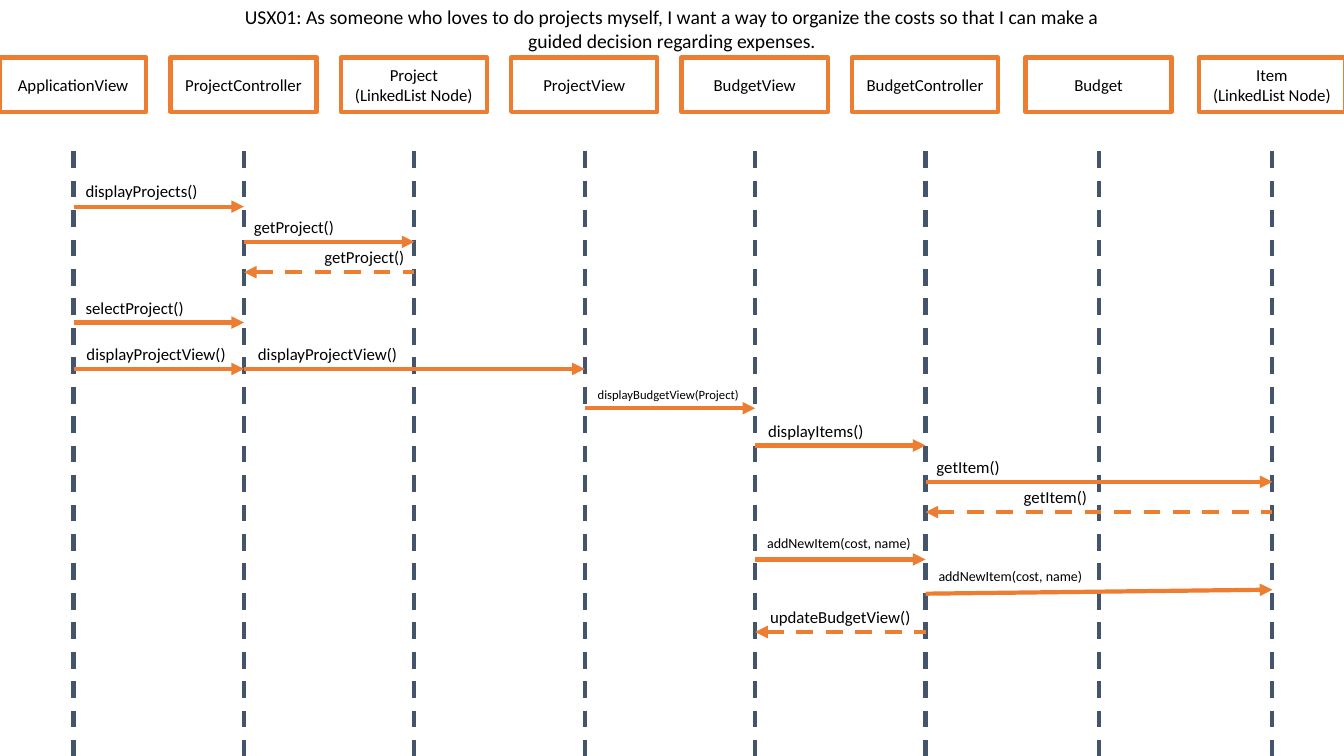
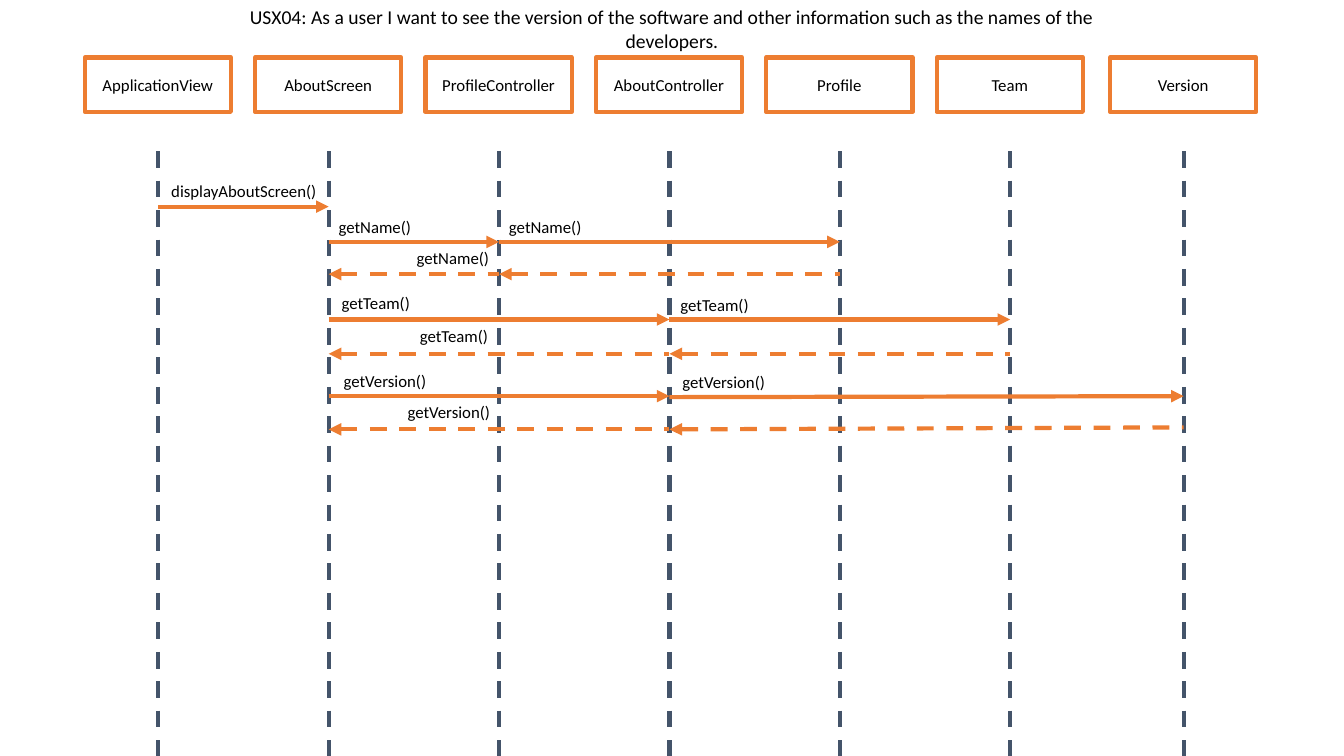
from dataclasses import dataclass

from lxml.etree import SubElement
from pptx import Presentation
from pptx.dml.color import RGBColor as RGB
from pptx.enum.dml import MSO_LINE as Dash
from pptx.enum.shapes import MSO_CONNECTOR as Conn, MSO_SHAPE as Shape
from pptx.enum.text import MSO_ANCHOR as Anchor, MSO_AUTO_SIZE as Fit, PP_ALIGN as Align
from pptx.oxml.ns import qn
from pptx.util import Emu, Pt

SCALE = 9144  # EMU in one px, 100 px to the inch
WIDE, HIGH = 1333, 750
STEP, EXTRA, EVEN = 169, 3, 5  # lane pitch, widened past lane EVEN
BOX_W, BOX_H, BOX_TOP, LANE_TOP = 145, 54, 57, 150


@dataclass(frozen=True)
class Theme:
    font: str = "Calibri"
    ink: RGB = RGB(0, 0, 0)
    accent: RGB = RGB(0xED, 0x7D, 0x31)
    lane: RGB = RGB(0x44, 0x54, 0x6A)
    title: int = 14
    body: int = 12
    small: int = 10
    tiny: int = 9
    stroke: int = 3


THEME = Theme()


@dataclass
class Call:
    """A message between two lanes; one that runs leftward is a dashed reply.

    The label starts (for a reply, ends) dx px from the lane on that side.
    """
    src: int
    dst: int
    y: int
    text: str = ""
    width: int = 0
    dx: int = 0
    up: int = 30
    size: int = THEME.body
    rise: int = 0


def px(*vals):
    return [Emu(v * SCALE) for v in vals]


def write(frame, text, size=THEME.body, align=Align.LEFT, anchor=Anchor.TOP, wrap=True):
    frame.text = text
    frame.word_wrap = wrap
    frame.vertical_anchor = anchor
    for para in frame.paragraphs:
        para.alignment = align
        font = para.font
        font.name, font.size = THEME.font, Pt(size)
        font.color.rgb = THEME.ink


class Deck:
    def __init__(self):
        self.prs = Presentation()
        self.prs.slide_width, self.prs.slide_height = px(WIDE, HIGH)
        self.slide = None
        self.first = 0

    def page(self, story, first):
        """Start a slide whose first lane stands at x = first."""
        self.slide = self.prs.slides.add_slide(self.prs.slide_layouts[5])
        self.first = first
        title = self.slide.shapes.title
        title.left, title.top, title.width, title.height = px(229, 0, 875, 57)
        write(title.text_frame, story, size=THEME.title, align=Align.CENTER)
        title.text_frame.auto_size = Fit.NONE

    def x(self, lane):
        return self.first + STEP * lane + EXTRA * max(0, lane - EVEN)

    def line(self, x1, y1, x2, y2, color, dash=False, head=None):
        line = self.slide.shapes.add_connector(Conn.STRAIGHT, *px(x1, y1, x2, y2))
        line.line.color.rgb = color
        line.line.width = Pt(THEME.stroke)
        if dash:
            line.line.dash_style = Dash.DASH
        if head:
            SubElement(line.line._get_or_add_ln(), qn(f"a:{head}"), type="triangle")
        SubElement(line._element.spPr, qn("a:effectLst"))

    def lane(self, i, name):
        mid = self.x(i)
        box = self.slide.shapes.add_shape(
            Shape.RECTANGLE, *px(mid - 73, BOX_TOP, BOX_W, BOX_H))
        box.shadow.inherit = False
        box.fill.background()
        box.line.color.rgb = THEME.accent
        box.line.width = Pt(THEME.stroke)
        write(box.text_frame, name, align=Align.CENTER, anchor=Anchor.MIDDLE)
        self.line(mid, LANE_TOP, mid, HIGH, THEME.lane, dash=True)

    def call(self, msg):
        back = msg.dst < msg.src
        left, right = sorted((self.x(msg.src), self.x(msg.dst)))
        self.line(left, msg.y, right, msg.y + msg.rise, THEME.accent,
                  dash=back, head="headEnd" if back else "tailEnd")
        if msg.text:
            start = right - msg.width if back else left
            tall = round(10 + msg.size * 5 / 3)
            label = self.slide.shapes.add_textbox(
                *px(start + msg.dx, msg.y - msg.up, msg.width, tall))
            write(label.text_frame, msg.text, size=msg.size, wrap=False,
                  align=Align.RIGHT if back else Align.LEFT)

    def flow(self, story, first, names, calls):
        self.page(story, first)
        for i, name in enumerate(names):
            self.lane(i, name)
        for msg in calls:
            self.call(msg)


COSTS = [
    Call(0, 1, 205, "displayProjects()", 133, 2, 31),
    Call(1, 2, 240, "getProject()", 101),
    Call(2, 1, 270, "getProject()", 101),
    Call(0, 1, 320, "selectProject()", 119, 2),
    Call(0, 1, 366, "displayProjectView()", 160, 3),
    Call(1, 3, 366, "displayProjectView()", 160, 4),
    Call(3, 4, 405, "displayBudgetView(Project)", 163, 3, 26, THEME.tiny),
    Call(4, 5, 442, "displayItems()", 116, 3),
    Call(5, 7, 478, "getItem()", 84, 1),
    Call(7, 5, 508, "getItem()", 84, -174),
    Call(4, 5, 555, "addNewItem(cost, name)", 165, 2, size=THEME.small),
    Call(5, 7, 589, "addNewItem(cost, name)", 165, 3, 31, THEME.small, -4),
    Call(5, 4, 627, "updateBudgetView()", 160, -5),
]

ABOUT = [
    Call(0, 1, 205, "displayAboutScreen()", 166, 3, 31),
    Call(1, 2, 240, "getName()", 93),
    Call(2, 4, 240, "getName()", 93),
    Call(4, 2, 272),
    Call(2, 1, 272, "getName()", 93, up=31),
    Call(1, 3, 317, "getTeam()", 160, 3, 31),
    Call(3, 5, 317, "getTeam()", 93, 1),
    Call(5, 3, 351),
    Call(3, 1, 351, "getTeam()", 89, -170, 33),
    Call(1, 3, 393, "getVersion()", 160, 5),
    Call(3, 6, 394, "getVersion()", 108, 3, rise=-1),
    Call(6, 3, 426, rise=-2),
    Call(3, 1, 426, "getVersion()", 103, -168, 32),
]


def main():
    deck = Deck()
    deck.flow(
        "USX01: As someone who loves to do projects myself, I want a way to organize "
        "the costs so that I can make a guided decision regarding expenses.",
        73,
        ["ApplicationView", "ProjectController", "Project\n(LinkedList Node)",
         "ProjectView", "BudgetView", "BudgetController", "Budget",
         "Item\n(LinkedList Node)"],
        COSTS)
    deck.flow(
        "USX04: As a user I want to see the version of the software and other "
        "information such as the names of the developers.",
        157,
        ["ApplicationView", "AboutScreen", "ProfileController", "AboutController",
         "Profile", "Team", "Version"],
        ABOUT)
    deck.prs.save("out.pptx")


if __name__ == "__main__":
    main()
